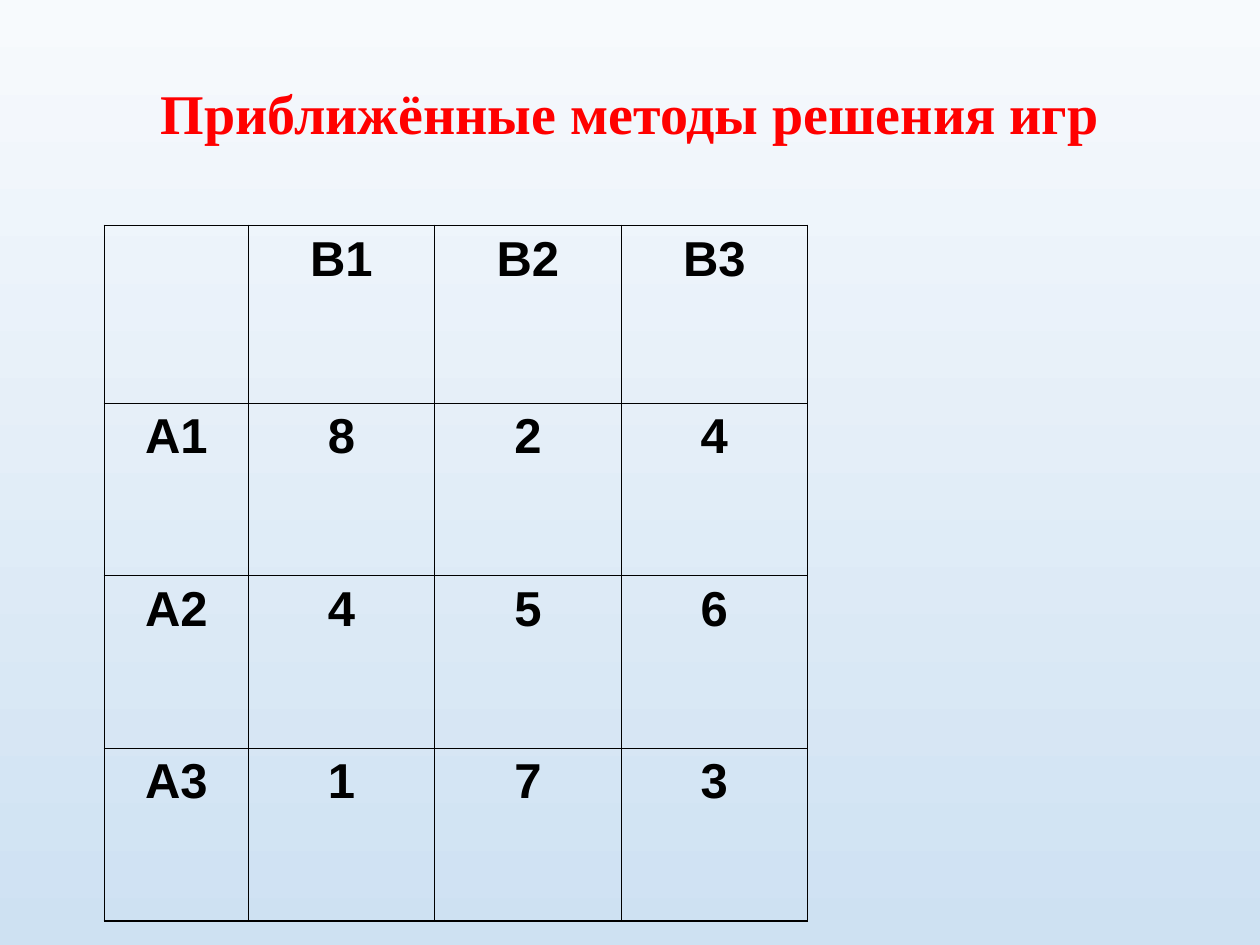
from lxml.etree import SubElement as Sub
from pptx import Presentation
from pptx.dml.color import RGBColor as RGB
from pptx.enum.text import MSO_ANCHOR as Anchor, PP_ALIGN as Align
from pptx.oxml.ns import qn
from pptx.util import Inches, Pt

COLORS = {"top": "F7FAFD", "base": "CEE1F2", "title": "FF0000", "ink": "000000"}
TITLE = "Приближённые методы решения игр"
PAYOFFS = [
    ["", "В1", "В2", "В3"],
    ["А1", "8", "2", "4"],
    ["А2", "4", "5", "6"],
    ["А3", "1", "7", "3"],
]
WIDTHS = [1.14, 1.48, 1.48, 1.48]
HEIGHTS = [1.41, 1.37, 1.37, 1.37]
THIN, THICK = 0.45, 1.08


def paint(slide):
    """Fill the background with a vertical gradient."""
    fill = slide.background.fill
    fill.gradient()
    fill.gradient_angle = 270
    for stop, name, place in zip(fill.gradient_stops, ("top", "base"), (0, 1)):
        stop.color.rgb = RGB.from_string(COLORS[name])
        stop.position = place


def write(frame, text, face, size, color):
    """Put one bold centred line into a text frame."""
    para = frame.paragraphs[0]
    para.text = text
    para.alignment = Align.CENTER
    font = para.font
    font.name, font.size, font.bold = face, Pt(size), True
    font.color.rgb = RGB.from_string(COLORS[color])
    return para


def add_title(slide):
    """Add the slide heading."""
    box = slide.shapes.add_textbox(Inches(0.5), Inches(0.3), Inches(9), Inches(1.25))
    frame = box.text_frame
    frame.word_wrap = True
    frame.vertical_anchor = Anchor.MIDDLE
    write(frame, TITLE, "Times New Roman", 32, "title").line_spacing = 0.9


def edge(cell, side, width):
    """Draw one border of a cell."""
    line = Sub(cell._tc.get_or_add_tcPr(), qn(f"a:ln{side}"), w=str(Pt(width)))
    Sub(Sub(line, qn("a:solidFill")), qn("a:srgbClr"), val=COLORS["ink"])


def add_grid(slide):
    """Add the payoff table, with thick left, top and bottom edges."""
    rows, cols = len(HEIGHTS), len(WIDTHS)
    frame = slide.shapes.add_table(
        rows, cols, Inches(0.83), Inches(1.79),
        Inches(sum(WIDTHS)), Inches(sum(HEIGHTS)))
    table = frame.table
    table.first_row = table.horz_banding = False
    for col, width in zip(table.columns, WIDTHS):
        col.width = Inches(width)
    for row, height in zip(table.rows, HEIGHTS):
        row.height = Inches(height)
    for r, line in enumerate(PAYOFFS):
        for c, text in enumerate(line):
            cell = table.cell(r, c)
            thick = {"L": c == 0, "R": False, "T": r == 0, "B": r == rows - 1}
            for side, bold in thick.items():
                edge(cell, side, THICK if bold else THIN)
            cell.fill.background()
            write(cell.text_frame, text, "Arial", 28, "ink")


def main():
    """Build and save the slide."""
    deck = Presentation()
    deck.slide_width, deck.slide_height = Inches(10), Inches(7.5)
    slide = deck.slides.add_slide(deck.slide_layouts[6])
    paint(slide)
    add_title(slide)
    add_grid(slide)
    deck.save("out.pptx")


if __name__ == "__main__":
    main()
